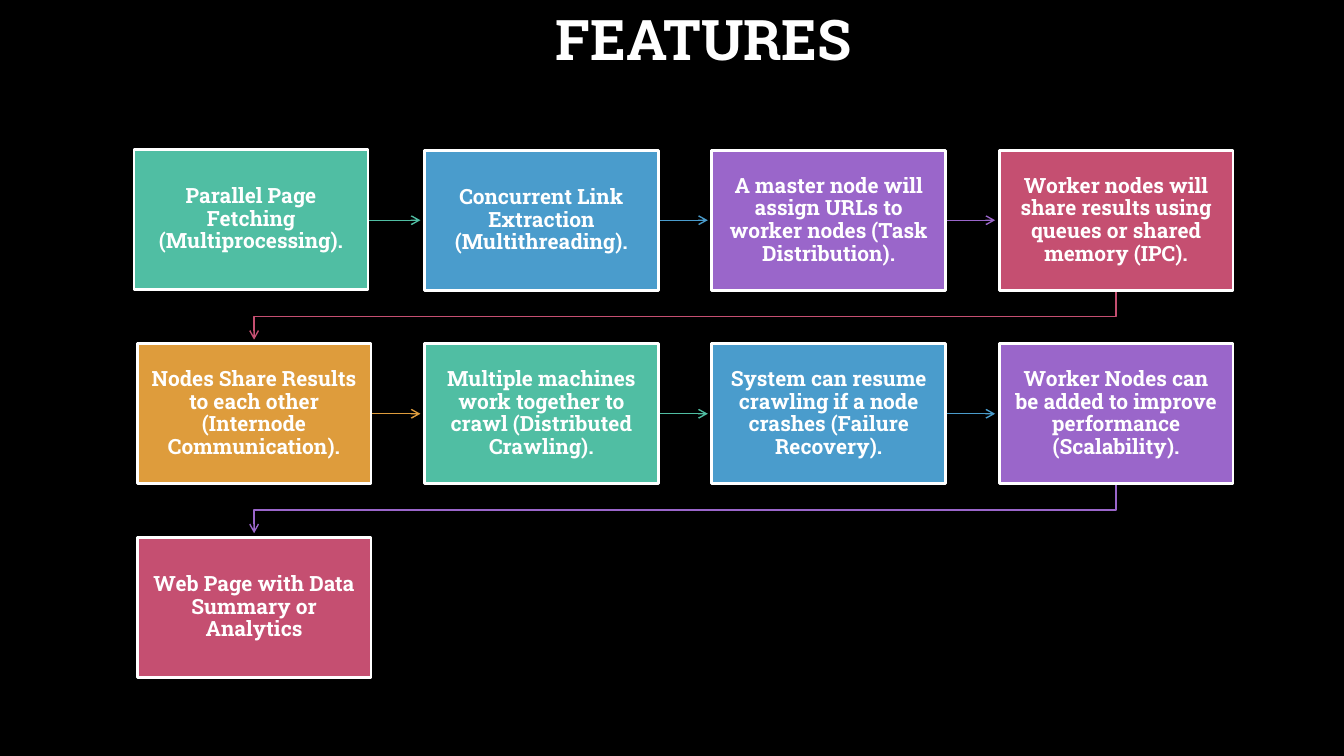
from lxml import etree
from pptx import Presentation
from pptx.dml.color import RGBColor
from pptx.enum.shapes import MSO_CONNECTOR, MSO_SHAPE
from pptx.enum.text import MSO_ANCHOR, PP_ALIGN
from pptx.oxml.ns import qn
from pptx.util import Inches, Pt

STRAIGHT = MSO_CONNECTOR.STRAIGHT
RECT = MSO_SHAPE.RECTANGLE
MIDDLE = MSO_ANCHOR.MIDDLE
CENTER = PP_ALIGN.CENTER

COLORS = {
    "black": "000000", "white": "FFFFFF", "green": "50BEA3", "blue": "4A9CCC",
    "purple": "9A66CA", "red": "C54F71", "orange": "DE9C3C",
}
CYCLE = ["green", "blue", "purple", "red", "orange"]

STEPS = [
    "Parallel Page Fetching (Multiprocessing).",
    "Concurrent Link Extraction (Multithreading).",
    "A master node will assign URLs to worker nodes (Task Distribution).",
    "Worker nodes will share results using queues or shared memory (IPC).",
    "Nodes Share Results to each other (Internode Communication).",
    "Multiple machines work together to crawl (Distributed Crawling).",
    "System can resume crawling if a node crashes (Failure Recovery).",
    "Worker Nodes can be added to improve performance (Scalability).",
    "Web Page with Data Summary or Analytics",
]

# Grid of boxes, in inches
COLS = 4
LEFT, TOP = 1.36, 1.49
BOX_W, BOX_H = 2.32, 1.39
STEP_X, STEP_Y = 2.85, 1.92
GAP = 0.04  # space between an arrowhead and the next box


class FlowSlide:
    """Holds the style and the current slide."""

    font = "Roboto Slab"

    def __init__(self, prs):
        self.s = prs.slides.add_slide(prs.slide_layouts[6])
        fill = self.s.background.fill
        fill.solid()
        fill.fore_color.rgb = self.color("black")

    @staticmethod
    def color(name):
        return RGBColor.from_string(COLORS[name])

    def add_text(self, sp, text, size, inset_x, inset_y):
        tf = sp.text_frame
        tf.word_wrap = True
        tf.vertical_anchor = MIDDLE
        tf.margin_left = tf.margin_right = Inches(inset_x)
        tf.margin_top = tf.margin_bottom = Inches(inset_y)
        p = tf.paragraphs[0]
        p.alignment = CENTER
        p.line_spacing = 0.9
        r = p.add_run()
        r.text = text
        r.font.name = self.font
        r.font.size = Pt(size)
        r.font.bold = True
        r.font.color.rgb = self.color("white")

    def title(self, text, x, y, w, h):
        sp = self.s.shapes.add_textbox(Inches(x), Inches(y), Inches(w), Inches(h))
        self.add_text(sp, text, 40, 0.1, 0.05)

    def box(self, text, x, y, color):
        sp = self.s.shapes.add_shape(RECT, Inches(x), Inches(y), Inches(BOX_W), Inches(BOX_H))
        sp.shadow.inherit = False
        sp.fill.solid()
        sp.fill.fore_color.rgb = self.color(color)
        sp.line.color.rgb = self.color("white")
        sp.line.width = Pt(2)
        self.add_text(sp, text, 15, 0.11, 0.12)

    def arrow_line(self, sp, color):
        sp.line.color.rgb = self.color(color)
        sp.line.width = Pt(1)
        ln = sp.element.spPr.find(qn("a:ln"))
        etree.SubElement(ln, qn("a:tailEnd"), type="arrow")

    def arrow(self, x1, x2, y, color):
        sp = self.s.shapes.add_connector(STRAIGHT, Inches(x1), Inches(y), Inches(x2), Inches(y))
        self.arrow_line(sp, color)
        etree.SubElement(sp.element.spPr, qn("a:effectLst"))

    def bent_arrow(self, points, color):
        start, *rest = [(Inches(x), Inches(y)) for x, y in points]
        builder = self.s.shapes.build_freeform(*start)
        builder.add_line_segments(rest, close=False)
        sp = builder.convert_to_shape()
        sp.shadow.inherit = False
        sp.fill.background()
        self.arrow_line(sp, color)


def main():
    prs = Presentation()
    prs.slide_width, prs.slide_height = Inches(13.33), Inches(7.5)
    slide = FlowSlide(prs)

    # Title
    slide.title("FEATURES", 4.73, 0, 4.5, 0.85)

    # Boxes, each with an arrow to the next one
    for i, text in enumerate(STEPS):
        row, col = divmod(i, COLS)
        x, y = LEFT + col * STEP_X, TOP + row * STEP_Y
        next_x, middle = x + STEP_X, y + BOX_H / 2
        if i == 0:  # the first box sits slightly up and to the left
            x, y = 1.33, 1.48
        color = CYCLE[i % len(CYCLE)]
        if i < len(STEPS) - 1:
            if col < COLS - 1:
                slide.arrow(x + BOX_W, next_x - GAP, middle, color)
            else:
                right, left = x + BOX_W / 2, LEFT + BOX_W / 2
                bottom, turn = y + BOX_H, y + BOX_H + 0.26
                end = y + STEP_Y - GAP
                slide.bent_arrow([(right, bottom), (right, turn), (left, turn), (left, end)], color)
        slide.box(text, x, y, color)

    prs.save("out.pptx")


if __name__ == "__main__":
    main()
